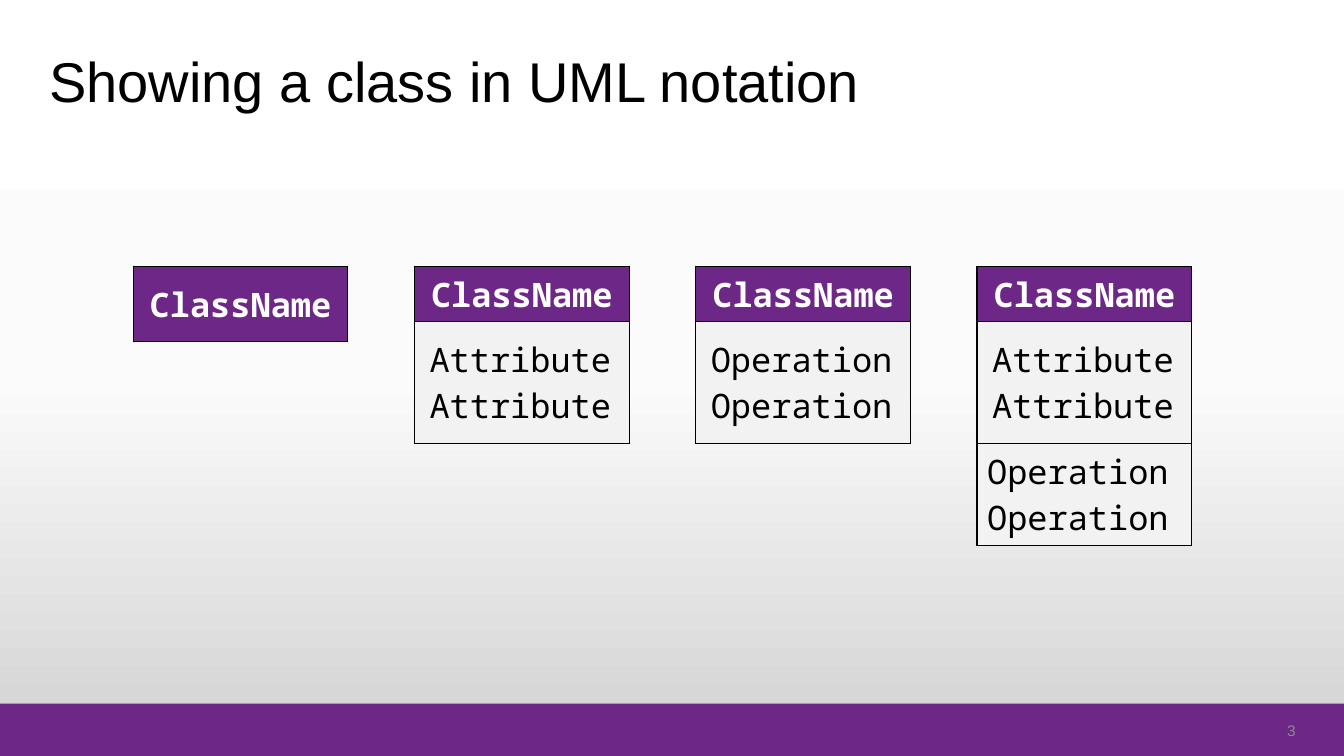
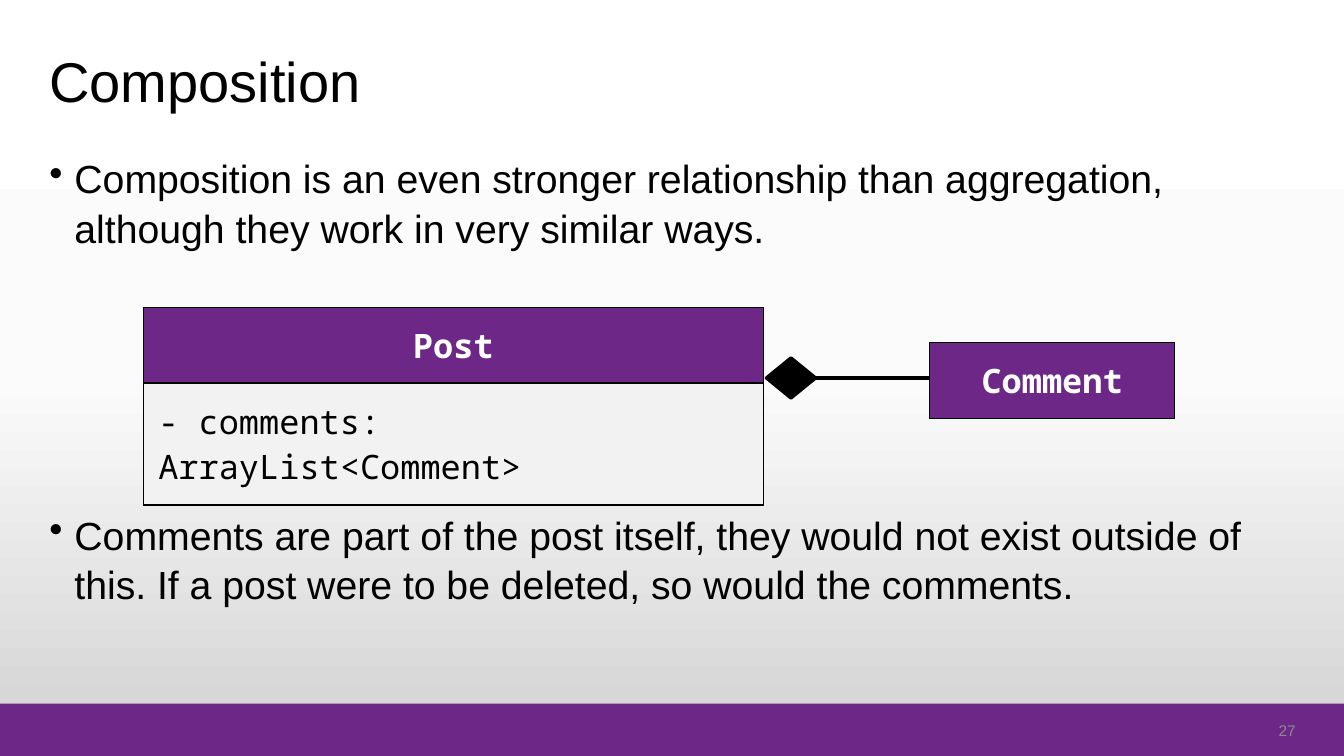
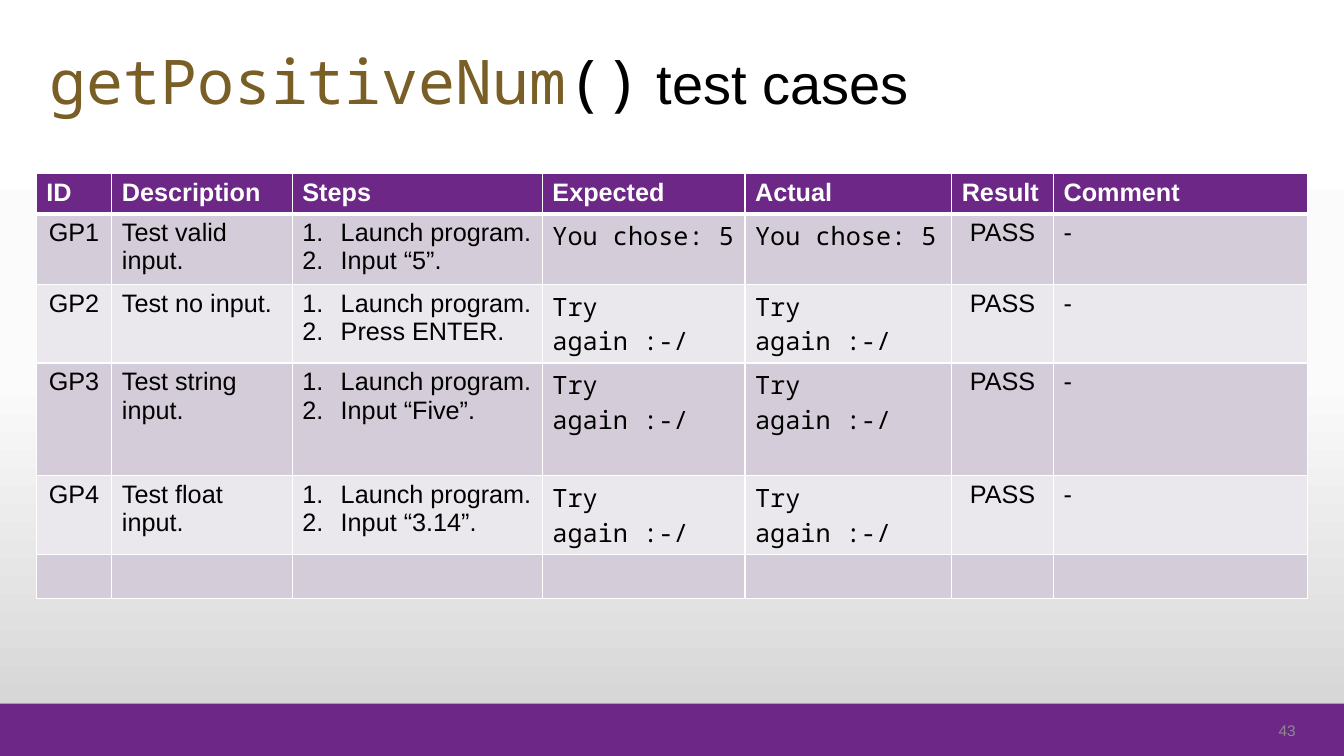
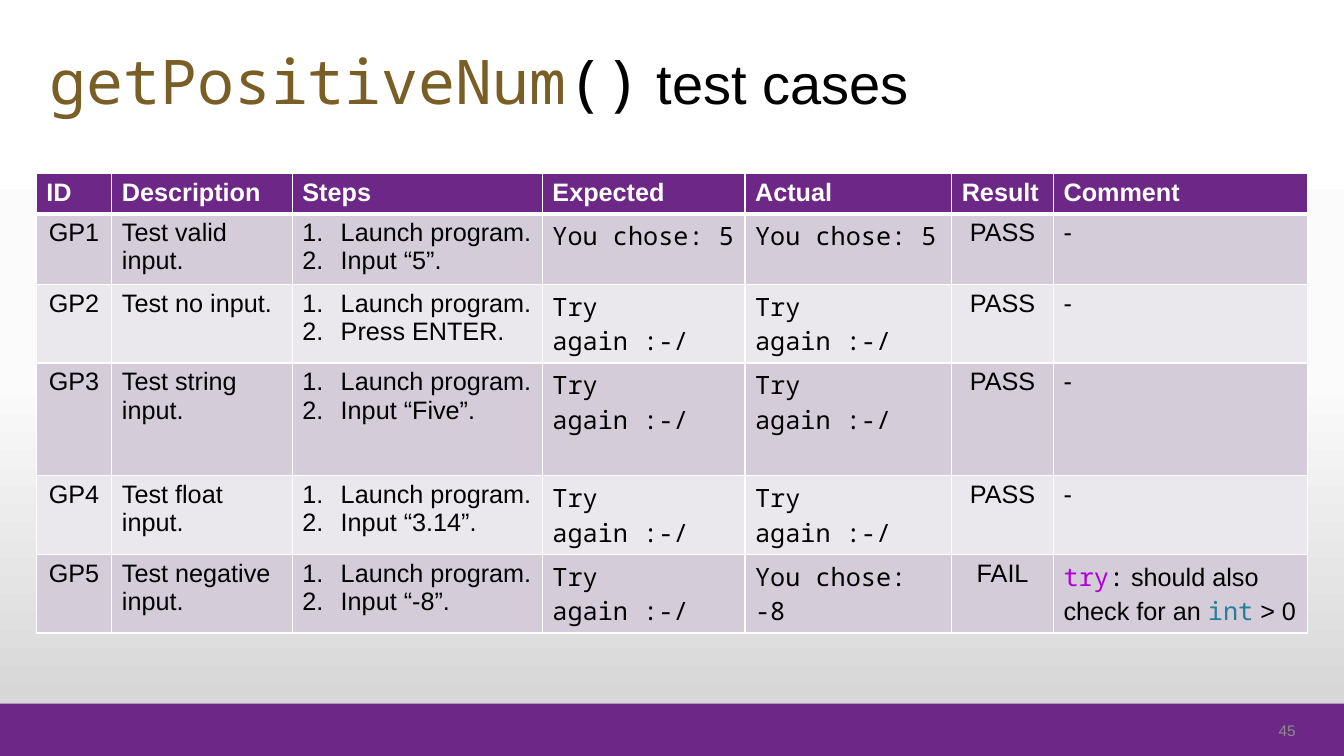
from lxml.etree import SubElement as Sub
from pptx import Presentation
from pptx.dml.color import RGBColor as Rgb
from pptx.enum.shapes import MSO_CONNECTOR as Wire, MSO_SHAPE as Form
from pptx.enum.text import MSO_ANCHOR as Anchor, PP_ALIGN as Align
from pptx.oxml.ns import qn
from pptx.util import Pt

PX = 9144
WIDE, HIGH = 1333, 750
SANS, MONO = "Arial", "Noto Sans Mono"

HUES = {
    "brand": "6C2787", "white": "FFFFFF", "black": "000000", "pale": "F2F2F2",
    "odd": "D4CDD9", "even": "EBE8ED", "number": "8C8C8C",
    "method": "795E26", "key": "AF00DB", "type": "267F99",
    "mid": "FBFBFB", "low": "D1D1D1",
}


def style(name, size, hue="black", bold=False):
    return {"name": name, "size": Pt(size), "bold": bold}, hue


STYLES = {
    "title": style(SANS, 40),
    "method": style(MONO, 44, "method"),
    "call": style(MONO, 44),
    "body": style(SANS, 28),
    "number": style(SANS, 11, "number"),
    "class": style(MONO, 24, "white", True),
    "member": style(MONO, 24),
    "head": style(SANS, 18, "white", True),
    "cell": style(SANS, 18),
    "code": style(MONO, 18),
    "key": style(MONO, 18, "key"),
    "type": style(MONO, 18, "type"),
}

COLS = [
    ("ID", 75, "cell", Align.CENTER),
    ("Description", 179, "cell", Align.LEFT),
    ("Steps", 248, "cell", Align.LEFT),
    ("Expected", 201, "code", Align.LEFT),
    ("Actual", 205, "code", Align.LEFT),
    ("Result", 101, "cell", Align.CENTER),
    ("Comment", 252, "cell", Align.LEFT),
]
RETRY = "Try again :-/"
CHOSE = "You chose: 5"
CASES = [
    (65, "Test valid input.", "Input “5”.", CHOSE, CHOSE, "PASS", "-"),
    (78, "Test no input.", "Press ENTER.", RETRY, RETRY, "PASS", "-"),
    (112, "Test string input.", "Input “Five”.", RETRY, RETRY, "PASS", "-"),
    (78, "Test float input.", "Input “3.14”.", RETRY, RETRY, "PASS", "-"),
]
NOTE = [("try", "key"), (":", "code"), (" should also check for an ", "cell"),
        ("int", "type"), (" > 0", "cell")]
FAULT = (78, "Test negative input.", "Input “-8”.", RETRY, "You chose: -8", "FAIL", NOTE)
BLANK = 44
CALL = [("getPositiveNum", "method"), ("()", "call"), (" test cases", "title")]


def px(*sizes):
    return [size * PX for size in sizes]


def rgb(hue):
    return Rgb.from_string(HUES[hue])


def apply(item, form):
    for key, value in form.items():
        setattr(item, key, value)


def paint(item, hue):
    item.fill.solid()
    item.fill.fore_color.rgb = rgb(hue)


def mark(para, tag, indent, **attrs):
    props = para._p.get_or_add_pPr()
    props.set("marL", str(indent * PX))
    props.set("indent", str(-indent * PX))
    Sub(props, qn(f"a:{tag}"), **attrs)


def write(para, runs):
    for text, kind in runs:
        run = para.add_run()
        run.text = text
        form, hue = STYLES[kind]
        apply(run.font, form)
        run.font.color.rgb = rgb(hue)


def fill(frame, lines, **form):
    paras = []
    for index, runs in enumerate(lines):
        para = frame.add_paragraph() if index else frame.paragraphs[0]
        apply(para, form)
        write(para, runs)
        paras.append(para)
    return paras


def label(slide, box, lines, anchor=Anchor.MIDDLE, **form):
    frame = slide.shapes.add_textbox(*px(*box)).text_frame
    apply(frame, {"word_wrap": True, "vertical_anchor": anchor})
    return fill(frame, lines, **form)


def solid(slide, form, box, hue, line=0):
    shape = slide.shapes.add_shape(form, *px(*box))
    shape.shadow.inherit = False
    paint(shape, hue)
    if line:
        shape.line.color.rgb = rgb(hue)
        shape.line.width = Pt(line)
    else:
        shape.line.fill.background()


def edge(cell, hue, **sides):
    props = cell._tc.get_or_add_tcPr()
    for side in "LRTB":
        line = Sub(props, qn(f"a:ln{side}"), w=str(Pt(sides.get(side, 1))))
        Sub(Sub(line, qn("a:solidFill")), qn("a:srgbClr"), val=HUES[hue])


def grid(slide, left, top, widths, heights):
    box = px(left, top, sum(widths), sum(heights))
    table = slide.shapes.add_table(len(heights), len(widths), *box).table
    apply(table, {"first_row": False, "horz_banding": False})
    for col, width in zip(table.columns, widths):
        col.width = width * PX
    for row, height in zip(table.rows, heights):
        row.height = height * PX
    return table


def uml(slide, left, top, width, name, *parts, head=75, last=121):
    heights = [head] + [121] * len(parts)
    if parts:
        heights[-1] = last
    table = grid(slide, left, top, [width], heights)
    for row, lines in enumerate([[name], *parts]):
        cell = table.cell(row, 0)
        edge(cell, "black")
        paint(cell, "pale" if row else "brand")
        if heights[row] in (75, 121):
            sides = ("left", "right", "top", "bottom")
            apply(cell, {f"margin_{side}": 15 * PX for side in sides})
        fill(cell.text_frame, [[(line, "member" if row else "class")] for line in lines],
             alignment=Align.LEFT if row else Align.CENTER)


def tests(slide, left, top, cases, spare=()):
    heights = [40, *(case[0] for case in cases), *spare]
    table = grid(slide, left, top, [col[1] for col in COLS], heights)
    for row in range(len(heights)):
        for col, (head, _, kind, align) in enumerate(COLS):
            cell = table.cell(row, col)
            edge(cell, "white", T=3 if row == 1 else 1, B=1 if row else 3)
            paint(cell, ("odd" if row % 2 else "even") if row else "brand")
            if not row:
                fill(cell.text_frame, [[(head, "head")]])
            elif row <= len(cases):
                value = cases[row - 1][col] if col else f"GP{row}"
                runs = value if isinstance(value, list) else [(value, kind)]
                steps = head == "Steps"
                lines = [[("Launch program.", kind)], runs] if steps else [runs]
                for para in fill(cell.text_frame, lines, alignment=align):
                    if steps:
                        mark(para, "buAutoNum", 38, type="arabicPeriod")


def bullets(slide, box, texts, gap):
    paras = label(slide, box, [[(text, "body")] for text in texts],
                  Anchor.TOP, line_spacing=1.05)
    for index, para in enumerate(paras):
        if index:
            para.space_before = Pt(gap)
        mark(para, "buChar", 25, char="•")


def link(slide, left, mid, right):
    wide, high = 49, 40
    line = slide.shapes.add_connector(Wire.STRAIGHT, *px(right, mid, left + wide, mid))
    line.line.color.rgb = rgb("black")
    line.line.width = Pt(2.25)
    Sub(line._element.spPr, qn("a:effectLst"))
    solid(slide, Form.DIAMOND, (left, mid - high // 2, wide, high), "black", 2.25)


def backdrop(master):
    back = master.background.fill
    back.gradient()
    back.gradient_angle = 270
    stops = back._fill._gradFill.find(qn("a:gsLst"))
    for stop in list(stops):
        stops.remove(stop)
    for pos, hue in ((0, "white"), (50, "mid"), (100, "low")):
        Sub(Sub(stops, qn("a:gs"), pos=str(pos * 1000)), qn("a:srgbClr"), val=HUES[hue])


def page(deck, title, number):
    slide = deck.slides.add_slide(deck.slide_layouts[6])
    solid(slide, Form.RECTANGLE, (0, 698, WIDE, HIGH - 698), "brand")
    label(slide, (39, 36, 1036, 87), [title])
    label(slide, (1240, 713, 55, 24), [[(str(number), "number")]], alignment=Align.RIGHT)
    return slide


def classes(deck):
    slide = page(deck, [("Showing a class in UML notation", "title")], 3)
    attrs, calls = ["Attribute"] * 2, ["Operation"] * 2
    for index, parts in enumerate([[], [attrs], [calls], [attrs, calls]]):
        uml(slide, 132 + 279 * index, 264, 213, "ClassName", *parts,
            head=55 if parts else 75, last=101 if len(parts) > 1 else 121)


def whole(deck):
    slide = page(deck, [("Composition", "title")], 27)
    bullets(slide, (39, 146, 1255, 535), [
        "Composition is an even stronger relationship than aggregation, "
        "although they work in very similar ways.",
        "Comments are part of the post itself, they would not exist outside of this. "
        "If a post were to be deleted, so would the comments.",
    ], 184)
    uml(slide, 142, 305, 615, "Post", ["- comments: ArrayList<Comment>"])
    uml(slide, 922, 340, 243, "Comment")
    link(slide, 760, 375, 922)


def main():
    deck = Presentation()
    apply(deck, {"slide_width": WIDE * PX, "slide_height": HIGH * PX})
    backdrop(deck.slide_master)
    classes(deck)
    whole(deck)
    tests(page(deck, CALL, 43), 36, 172, CASES, [BLANK])
    tests(page(deck, CALL, 45), 36, 172, [*CASES, FAULT])
    deck.save("out.pptx")


if __name__ == "__main__":
    main()
